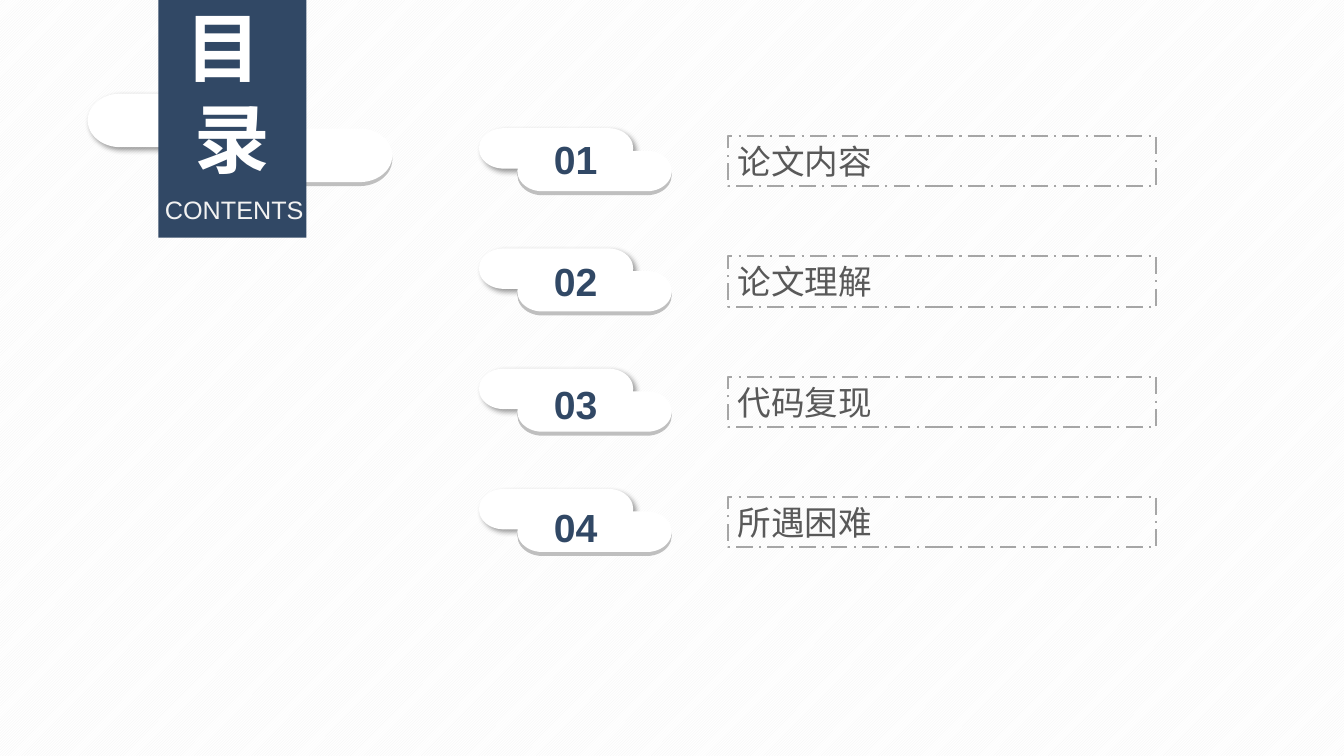
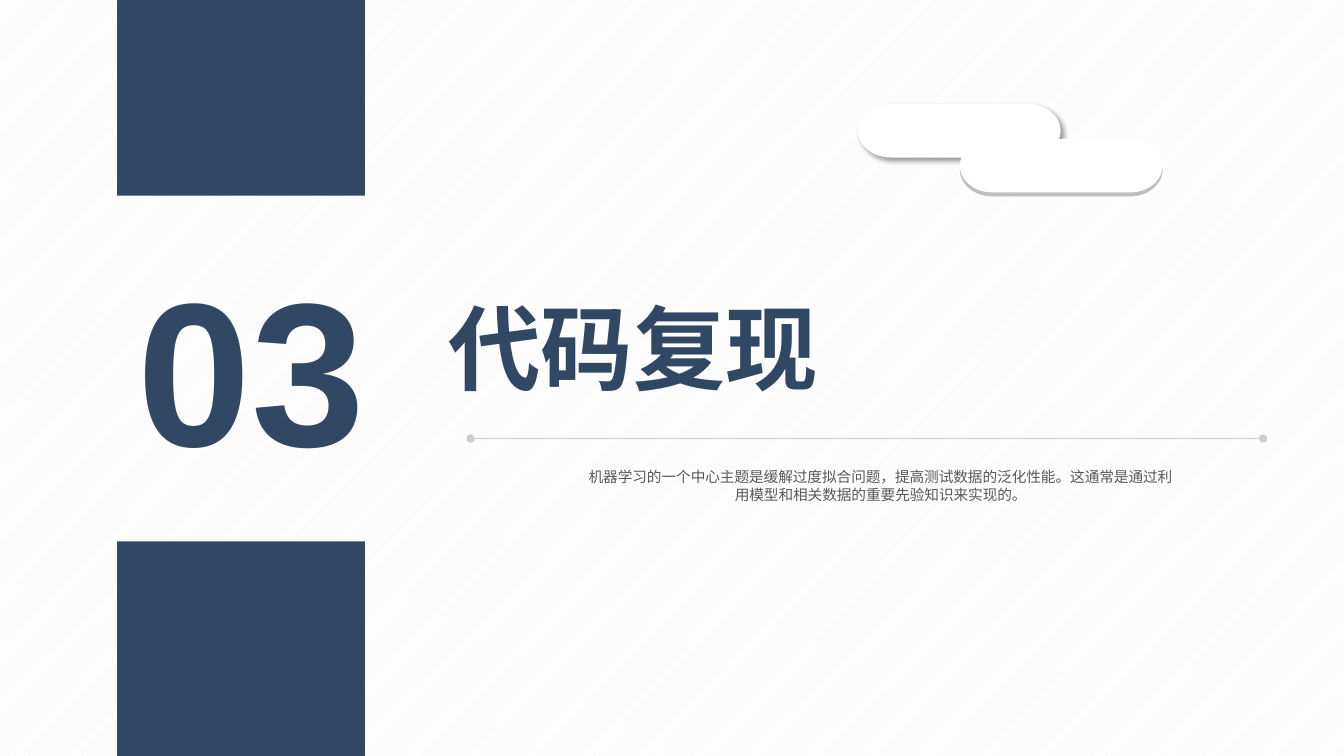
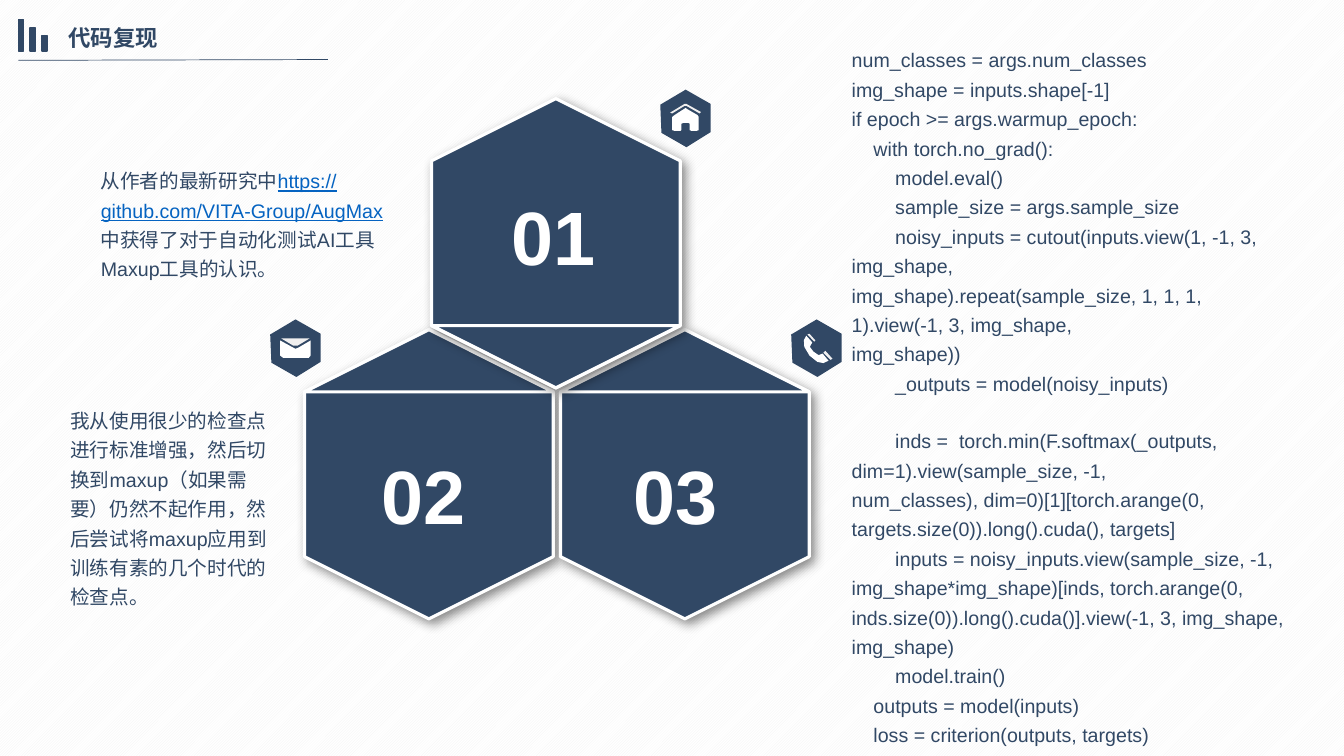
from lxml import etree
from pptx import Presentation
from pptx.dml.color import RGBColor
from pptx.enum.dml import MSO_LINE, MSO_PATTERN
from pptx.enum.shapes import MSO_CONNECTOR, MSO_SHAPE
from pptx.enum.text import MSO_ANCHOR, MSO_AUTO_SIZE, PP_ALIGN
from pptx.oxml.ns import qn
from pptx.util import Cm, Pt

RECTANGLE, TERMINATOR, HEXAGON = MSO_SHAPE.RECTANGLE, MSO_SHAPE.FLOWCHART_TERMINATOR, MSO_SHAPE.HEXAGON
LEFT, CENTER, RIGHT, JUSTIFY = PP_ALIGN.LEFT, PP_ALIGN.CENTER, PP_ALIGN.RIGHT, PP_ALIGN.JUSTIFY
TOP, MIDDLE = MSO_ANCHOR.TOP, MSO_ANCHOR.MIDDLE
LIGHT_STRIPES, DARK_STRIPES = MSO_PATTERN.LIGHT_UPWARD_DIAGONAL, MSO_PATTERN.DARK_UPWARD_DIAGONAL
TITLE_AND_BODY, TITLE_ONLY = 1, 5

FONT = "Arial"
COLORS = {
    "navy": "314865", "white": "FFFFFF", "stripe": "F2F2F2", "lip": "BFBFBF",
    "frame": "A6A6A6", "rule": "CCCCCC", "gray": "595959", "link": "0563C1",
    "pale": "F0EFEF", "shadow": "000000",
}

# Content
CHAPTERS = ["论文内容", "论文理解", "代码复现", "所遇困难"]
CHAPTER_TITLE = CHAPTERS[2]
SUMMARY = ("机器学习的一个中心主题是缓解过度拟合问题，提高测试数据的泛化性能。"
           "这通常是通过利用模型和相关数据的重要先验知识来实现的。")
SOURCE_NOTE = [
    ("从作者的最新研究中", "navy", False),
    ("https://github.com/VITA-Group/AugMax", "link", True),
    (" 中获得了对于自动化测试AI工具Maxup工具的认识。", "navy", False),
]
METHOD_NOTE = ("我从使用很少的检查点进行标准增强，然后切换到maxup（如果需要）仍然不起作用，"
               "然后尝试将maxup应用到训练有素的几个时代的检查点。")
CODE_SAMPLING = [
    "num_classes = args.num_classes",
    "img_shape = inputs.shape[-1]",
    "if epoch >= args.warmup_epoch:",
    "    with torch.no_grad():",
    "        model.eval()",
    "        sample_size = args.sample_size",
    "        noisy_inputs = cutout(inputs.view(1, -1, 3, img_shape,",
    "img_shape).repeat(sample_size, 1, 1, 1, 1).view(-1, 3, img_shape,",
    "img_shape))",
    "        _outputs = model(noisy_inputs)",
]
CODE_SELECTION = [
    "        inds =  torch.min(F.softmax(_outputs, dim=1).view(sample_size, -1,",
    "num_classes), dim=0)[1][torch.arange(0,",
    "targets.size(0)).long().cuda(), targets]",
    "        inputs = noisy_inputs.view(sample_size, -1,",
    "img_shape*img_shape)[inds, torch.arange(0,",
    "inds.size(0)).long().cuda()].view(-1, 3, img_shape, img_shape)",
    "        model.train()",
    "    outputs = model(inputs)",
    "    loss = criterion(outputs, targets)",
]

# Hexagons: number, centre, number position, direction of the flap (-1 up, 1 down)
HEX_WIDTH, HEX_HEIGHT, FLAP = 6.27, 7.29, 1.57
HEXAGONS = [
    ("02", (10.81, 11.95), (9.37, 11.18), -1),
    ("03", (17.26, 11.95), (15.72, 11.18), -1),
    ("01", (14.01, 6.13), (12.65, 4.65), 1),
]

# Icons: outlines in cm from the corner of each badge
BADGE = [(0, .38), (.64, 0), (1.27, .36), (1.27, 1.07), (.66, 1.45), (.03, 1.09)]
HOUSE = [
    ("white", [(.66, .48), (.64, .46), (.61, .48), (.36, .64), (.3, .69), (.3, 1.02),
               (.36, 1.04), (.51, 1.04), (.53, 1.02), (.53, .86), (.58, .84), (.71, .84),
               (.74, .86), (.74, 1.02), (.79, 1.04), (.91, 1.04), (.97, 1.02), (.97, .69),
               (.94, .64)]),
    ("pale", [(1.02, .58), (.99, .6), (.66, .41), (.61, .41), (.3, .6), (.25, .58),
              (.28, .56), (.61, .36), (.66, .36), (1.02, .56)]),
]
PHONE = [
    ("white", [(.79, .86), (.69, .9), (.56, .81), (.47, .69), (.53, .58), (.38, .41),
               (.32, .52), (.33, .69), (.46, .91), (.66, 1.07), (.81, 1.1), (.94, 1.04)]),
    ("pale", [(1.04, .99), (.99, 1.02), (.81, .84), (.86, .79)]),
    ("pale", [(.61, .53), (.58, .56), (.41, .38), (.46, .36)]),
]
ENVELOPE = [
    ("pale", [(.69, .66), (.99, .48), (.28, .48), (.58, .66)]),
    ("white", [(.71, .71), (.64, .74), (.58, .71), (.25, .53), (.25, .91), (.33, .97),
               (.97, .97), (1.02, .91), (1.02, .53)]),
]
ICONS = [((16.64, 2.26), HOUSE), ((19.94, 8.05), PHONE), ((6.81, 8.05), ENVELOPE)]

# Clouds: pill width and height, shift of the front pill
LARGE_CLOUD = (5.11, 1.35, 2.57, .88)
SMALL_CLOUD = (3.89, 1.02, .97, .57)
CLOUD_LIP = .1


def rgb(name):
    return RGBColor.from_string(COLORS[name])


def place(shape, left, top, width, height):
    shape.left, shape.top, shape.width, shape.height = Cm(left), Cm(top), Cm(width), Cm(height)
    return shape


def write(shape, lines, size, color, bold=False, align=LEFT, anchor=TOP,
          inset=True, spacing=1.0, wrap=True):
    """Each line is a string or a list of (text, colour, underline) runs."""
    frame = shape.text_frame
    frame.word_wrap = wrap
    frame.auto_size = MSO_AUTO_SIZE.NONE
    frame.vertical_anchor = anchor
    if not inset:
        frame.margin_left = frame.margin_right = frame.margin_top = frame.margin_bottom = 0
    for index, line in enumerate(lines):
        paragraph = frame.add_paragraph() if index else frame.paragraphs[0]
        if shape.is_placeholder:
            properties = paragraph._p.get_or_add_pPr()
            properties.set("marL", "0")
            properties.set("indent", "0")
            etree.SubElement(properties, qn("a:buNone"))
        paragraph.alignment = align
        paragraph.line_spacing = spacing
        paragraph.space_before = Pt(0)
        for text, run_color, underline in ([(line, color, False)] if isinstance(line, str) else line):
            run = paragraph.add_run()
            run.text = text
            run.font.name, run.font.size, run.font.bold = FONT, Pt(size), bold
            run.font.color.rgb = rgb(run_color)
            if underline:
                run.font.underline = True


def add_text(slide, box, lines, size, color, **style):
    write(place(slide.shapes.add_textbox(0, 0, 0, 0), *box), lines, size, color, **style)


def style_shape(shape, fill=None, line=None, line_width=1.0):
    shape.shadow.inherit = False
    if fill:
        shape.fill.solid()
        shape.fill.fore_color.rgb = rgb(fill)
    else:
        shape.fill.background()
    if line:
        shape.line.color.rgb = rgb(line)
        shape.line.width = Pt(line_width)
    else:
        shape.line.fill.background()
    return shape


def add_shape(slide, kind, box, fill=None, line=None, line_width=1.0):
    shape = slide.shapes.add_shape(kind, *(Cm(value) for value in box))
    return style_shape(shape, fill, line, line_width)


def add_outline(slide, points, origin, fill, line=None, line_width=1.0):
    corners = [(Cm(origin[0] + x), Cm(origin[1] + y)) for x, y in points]
    builder = slide.shapes.build_freeform(*corners[0])
    builder.add_line_segments(corners[1:], close=True)
    return style_shape(builder.convert_to_shape(), fill, line, line_width)


def add_shadow(shape, opacity, blur, distance):
    effects = shape._element.spPr.find(qn("a:effectLst"))
    shadow = etree.SubElement(effects, qn("a:outerShdw"), blurRad=str(Pt(blur)),
                              dist=str(Pt(distance)), dir="2700000", algn="tl", rotWithShape="0")
    color = etree.SubElement(shadow, qn("a:srgbClr"), val=COLORS["shadow"])
    etree.SubElement(color, qn("a:alpha"), val=str(opacity * 1000))


def add_rule(slide, start, end, color, width, dots=False):
    rule = slide.shapes.add_connector(MSO_CONNECTOR.STRAIGHT, *(Cm(value) for value in start + end))
    rule.line.color.rgb = rgb(color)
    rule.line.width = Pt(width)
    if dots:
        line = rule.line._get_or_add_ln()
        for tag in ("a:headEnd", "a:tailEnd"):
            etree.SubElement(line, qn(tag), type="oval")
    etree.SubElement(rule._element.spPr, qn("a:effectLst"))


def add_cloud(slide, left, top, size):
    width, height, shift_x, shift_y = size
    front_left, front_top = left + shift_x, top + shift_y
    add_shape(slide, TERMINATOR, (front_left, front_top + CLOUD_LIP, width, height), "lip")
    add_shadow(add_shape(slide, TERMINATOR, (left, top, width, height), "white"), 40, 4, 3)
    add_shape(slide, TERMINATOR, (front_left, front_top, width, height), "white")


def new_slide(presentation, layout, pattern):
    slide = presentation.slides.add_slide(presentation.slide_layouts[layout])
    fill = slide.background.fill
    fill.patterned()
    fill.pattern = pattern
    fill.fore_color.rgb, fill.back_color.rgb = rgb("stripe"), rgb("white")
    return slide


def build_contents(presentation):
    slide = new_slide(presentation, TITLE_ONLY, LIGHT_STRIPES)
    # Banner with the title in front
    add_cloud(slide, 2.21, 2.36, LARGE_CLOUD)
    add_shape(slide, RECTANGLE, (3.99, 0, 3.73, 5.99), "navy")
    title = place(slide.shapes.title, 3.99, 0, 3.73, 4.62)
    write(title, ["目 ", "录"], 54, "white", bold=True, align=CENTER, anchor=MIDDLE, inset=False)
    slide.shapes.element.append(title.element)
    add_text(slide, (4.04, 4.9, 3.73, .76), ["CONTENTS"], 18, "stripe",
             align=CENTER, anchor=MIDDLE, inset=False)
    # Chapter rows
    for index, chapter in enumerate(CHAPTERS):
        offset = index * 3.03
        frame = add_shape(slide, RECTANGLE, (18.34, 3.43 + offset, 10.8, 1.27), None, "frame", 1.5)
        frame.line.dash_style = MSO_LINE.LONG_DASH_DOT
        write(frame, [chapter], 24, "gray", align=JUSTIFY, anchor=MIDDLE)
        add_cloud(slide, 12.07, 3.23 + offset, SMALL_CLOUD)
        add_text(slide, (13.54, 3.28 + index * 3.09, 1.93, 1.45), [f"{index + 1:02d}"], 28, "navy",
                 bold=True, align=CENTER)


def build_section(presentation):
    slide = new_slide(presentation, TITLE_AND_BODY, DARK_STRIPES)
    # Number between two blocks
    for top, height in ((0, 4.93), (13.64, 5.41)):
        add_shape(slide, RECTANGLE, (2.95, top, 6.25, height), "navy")
    add_text(slide, (2.95, 6.1, 6.25, 6.25), ["03"], 146, "navy", bold=True, align=RIGHT, inset=False)
    # Title, rule and summary
    write(place(slide.shapes.title, 11.3, 7.34, 21.08, 2.82), [CHAPTER_TITLE], 66, "navy",
          bold=True, align=JUSTIFY, inset=False)
    add_rule(slide, (11.86, 11.05), (31.83, 11.05), "rule", 1, dots=True)
    write(place(slide.placeholders[1], 14.68, 11.79, 15.04, .89), [SUMMARY], 10.5, "gray",
          align=CENTER, inset=False)
    add_cloud(slide, 21.62, 2.62, LARGE_CLOUD)


def build_code(presentation):
    slide = new_slide(presentation, TITLE_AND_BODY, DARK_STRIPES)
    # Header with three bars
    write(place(slide.shapes.title, 1.47, .48, 6.76, .94), [CHAPTER_TITLE], 16, "navy",
          bold=True, align=JUSTIFY)
    add_rule(slide, (.46, 1.52), (8.26, 1.5), "navy", .5)
    for index, height in enumerate((.8, .58, .4)):
        add_shape(slide, RECTANGLE, (.46 + index * .3, 1.29 - height, .13, height), "navy", "navy")
    # Badges
    for origin, parts in ICONS:
        for color, points in [("navy", BADGE)] + parts:
            add_outline(slide, points, origin, color)
    # Numbered hexagons, turned upright, each with a folded flap
    for number, (x, y), number_at, direction in HEXAGONS:
        box = (x - HEX_HEIGHT / 2, y - HEX_WIDTH / 2, HEX_HEIGHT, HEX_WIDTH)
        hexagon = add_shape(slide, HEXAGON, box, "navy", "white", 2.25)
        hexagon.rotation = 270
        add_shadow(hexagon, 45, 8, 4)
        tip = direction * HEX_HEIGHT / 2
        base = tip - direction * FLAP
        flap = add_outline(slide, [(0, tip), (HEX_WIDTH / 2, base), (-HEX_WIDTH / 2, base)],
                           (x, y), "navy", "white", 2.25)
        color = flap._element.spPr.find(qn("a:solidFill"))[0]
        etree.SubElement(color, qn("a:alpha"), val="50000")
    for number, _, number_at, _ in HEXAGONS:
        add_text(slide, number_at + (2.64, 2.57), [number], 54, "white", bold=True, wrap=False)
    # Notes and code
    add_text(slide, (2.29, 3.99, 8.13, 3.07), [SOURCE_NOTE], 14, "navy", spacing=1.25)
    add_text(slide, (1.52, 10.03, 5.77, 5.23), [METHOD_NOTE], 14, "navy", spacing=1.25)
    code = place(slide.placeholders[1], 21.21, .94, 11.61, 17.42)
    write(code, CODE_SAMPLING + CODE_SELECTION, 14, "navy", spacing=1.25)
    code.text_frame.paragraphs[len(CODE_SAMPLING)].space_before = Pt(20)


def main():
    presentation = Presentation()
    presentation.slide_width, presentation.slide_height = Cm(33.87), Cm(19.05)
    build_contents(presentation)
    build_section(presentation)
    build_code(presentation)
    presentation.save("out.pptx")


if __name__ == "__main__":
    main()
